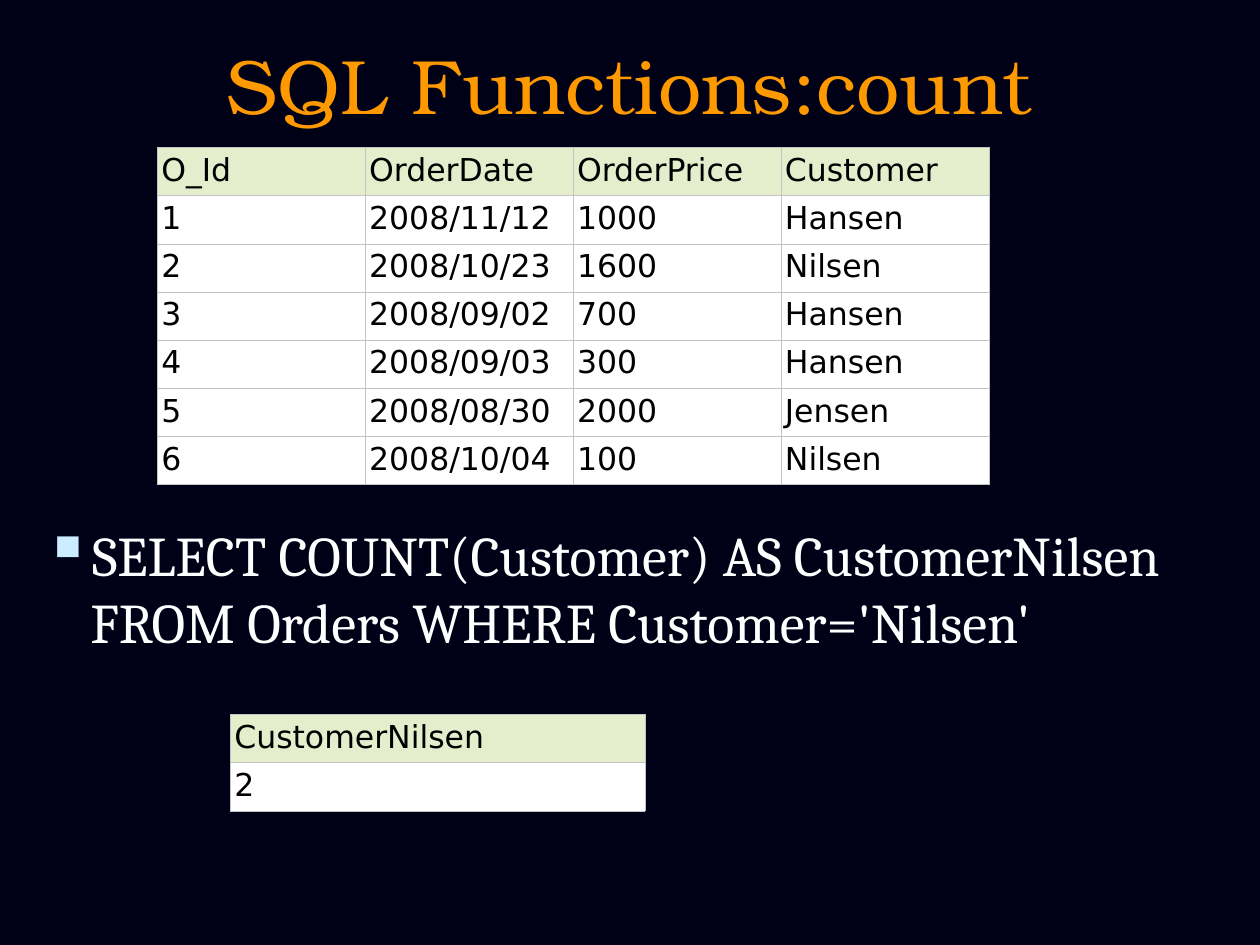
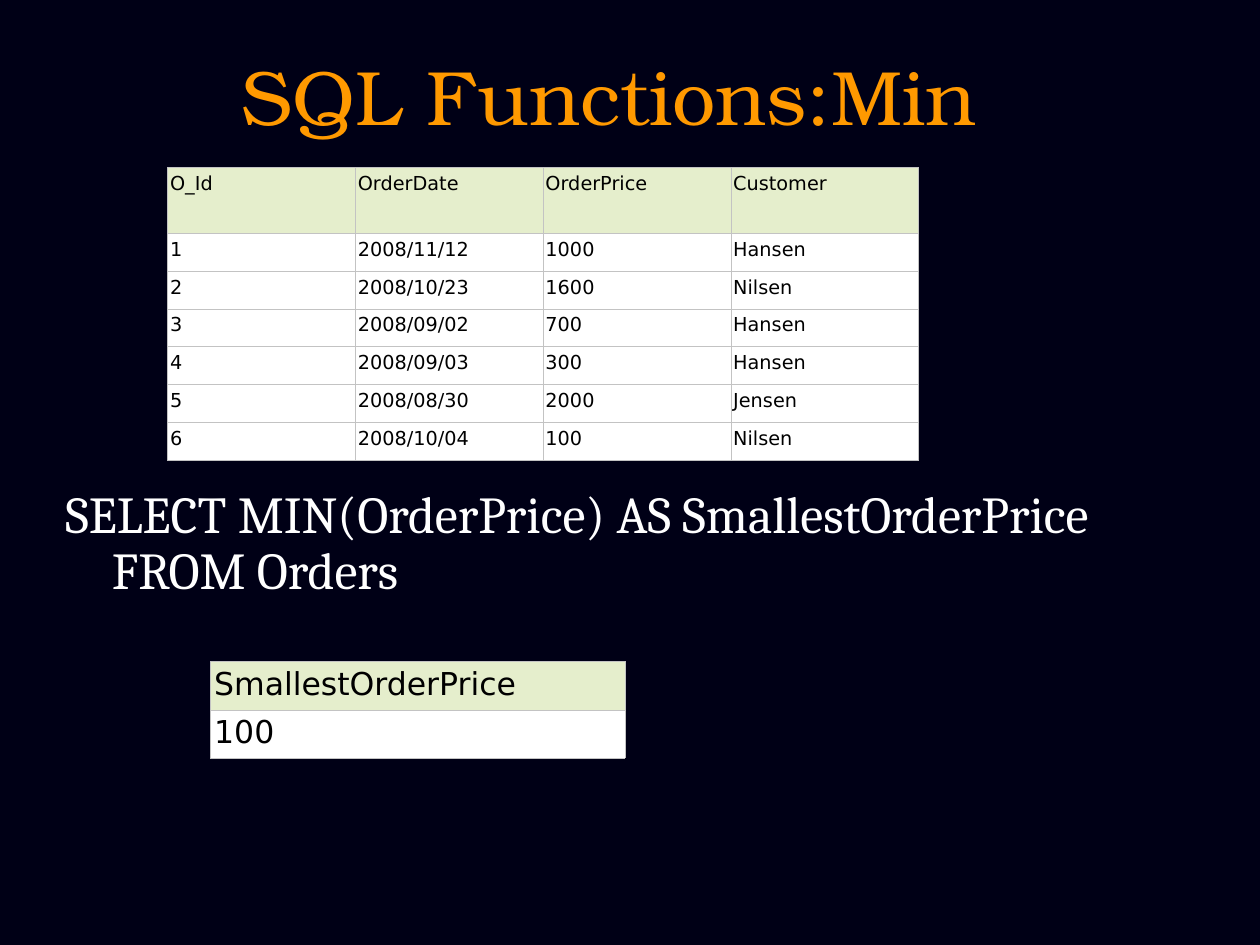
from dataclasses import dataclass

from lxml.etree import SubElement
from pptx import Presentation
from pptx.dml.color import RGBColor
from pptx.enum.text import MSO_ANCHOR, PP_ALIGN
from pptx.oxml.ns import qn
from pptx.util import Inches, Pt


@dataclass(frozen=True)
class Theme:
    background: str = "000016"
    title: str = "FF9900"
    body: str = "FFFFFF"
    bullet: str = "CCECFF"
    header_fill: str = "E5EECC"
    row_fill: str = "FFFFFF"
    cell_text: str = "000000"
    border: str = "C3C3C3"
    border_width: float = 0.17
    title_font: str = "TeX Gyre Bonum"
    body_font: str = "Cambria"
    table_font: str = "DejaVu Sans"
    title_size: float = 44
    table_size: float = 18
    cell_spacing: float = 0.94
    hanging: float = 0.37


THEME = Theme()

ORDERS = [
    ("O_Id", "OrderDate", "OrderPrice", "Customer"),
    ("1", "2008/11/12", "1000", "Hansen"),
    ("2", "2008/10/23", "1600", "Nilsen"),
    ("3", "2008/09/02", "700", "Hansen"),
    ("4", "2008/09/03", "300", "Hansen"),
    ("5", "2008/08/30", "2000", "Jensen"),
    ("6", "2008/10/04", "100", "Nilsen"),
]

SLIDES = [
    {
        "title": "SQL Functions:count",
        "title_area": (0.5, 0.25, 9, 0.83),
        "query": "SELECT COUNT(Customer) AS CustomerNilsen FROM Orders WHERE Customer='Nilsen'",
        "query_area": (0.25, 4.08, 9.5, 1.33),
        "query_format": {"size": 32, "bullet": "▪"},
        "orders": {"left": 1.25, "top": 1.17, "column_width": 1.65,
                   "header_height": 0.37, "row_height": 0.37},
        "result": [("CustomerNilsen",), ("2",)],
        "result_at": (1.83, 5.67),
    },
    {
        "title": "SQL Functions:Min",
        "title_area": (0.75, 0.25, 8.17, 1),
        "query": "SELECT MIN(OrderPrice) AS SmallestOrderPrice FROM Orders",
        "query_area": (0.42, 3.83, 8.92, 1.17),
        "query_format": {"size": 29.6, "spacing": 0.9},
        "orders": {"left": 1.33, "top": 1.33, "column_width": 1.49,
                   "header_height": 0.52, "row_height": 0.3,
                   "size": 11, "side_margin": 0.02},
        "result": [("SmallestOrderPrice",), ("100",)],
        "result_at": (1.67, 5.25),
    },
]


def write_text(frame, text, *, font, size, color, align=PP_ALIGN.LEFT,
               spacing=None, hanging=0, bullet=None):
    para = frame.paragraphs[0]
    para.alignment = align
    if spacing:
        para.line_spacing = spacing
    properties = para._p.get_or_add_pPr()
    if hanging:
        properties.set("marL", str(Inches(hanging)))
        properties.set("indent", str(-Inches(hanging)))
    if bullet:
        bullet_color = SubElement(properties, qn("a:buClr"))
        SubElement(bullet_color, qn("a:srgbClr"), val=THEME.bullet)
        SubElement(properties, qn("a:buSzPct"), val="115000")
        SubElement(properties, qn("a:buChar"), char=bullet)
    span = para.add_run()
    span.text = text
    span.font.name = font
    span.font.size = Pt(size)
    span.font.color.rgb = RGBColor.from_string(color)


def add_text_box(page, area, text, anchor=MSO_ANCHOR.TOP, **text_format):
    box = page.shapes.add_textbox(*map(Inches, area))
    frame = box.text_frame
    frame.word_wrap = True
    frame.vertical_anchor = anchor
    write_text(frame, text, **text_format)


def add_borders(cell):
    properties = cell._tc.get_or_add_tcPr()
    for position, side in enumerate(("lnL", "lnR", "lnT", "lnB")):
        line = SubElement(properties, qn(f"a:{side}"), w=str(Pt(THEME.border_width)))
        fill = SubElement(line, qn("a:solidFill"))
        SubElement(fill, qn("a:srgbClr"), val=THEME.border)
        properties.insert(position, line)


def add_data_table(page, rows, *, left, top, column_width, header_height,
                   row_height, size=THEME.table_size, side_margin=0.03):
    columns = len(rows[0])
    height = header_height + row_height * (len(rows) - 1)
    area = map(Inches, (left, top, column_width * columns, height))
    table = page.shapes.add_table(len(rows), columns, *area).table
    table.first_row = False
    table.horz_banding = False
    for column in table.columns:
        column.width = Inches(column_width)
    for row_index, values in enumerate(rows):
        is_header = row_index == 0
        table.rows[row_index].height = Inches(header_height if is_header else row_height)
        fill_color = THEME.header_fill if is_header else THEME.row_fill
        for column_index, value in enumerate(values):
            cell = table.cell(row_index, column_index)
            cell.margin_left = cell.margin_right = Inches(side_margin)
            cell.margin_top = cell.margin_bottom = Inches(0.05)
            cell.fill.solid()
            cell.fill.fore_color.rgb = RGBColor.from_string(fill_color)
            add_borders(cell)
            write_text(cell.text_frame, value, font=THEME.table_font, size=size,
                       color=THEME.cell_text, spacing=THEME.cell_spacing)


def add_function_page(deck, content):
    page = deck.slides.add_slide(deck.slide_layouts[6])
    page.background.fill.solid()
    page.background.fill.fore_color.rgb = RGBColor.from_string(THEME.background)
    add_text_box(page, content["title_area"], content["title"], MSO_ANCHOR.MIDDLE,
                 font=THEME.title_font, size=THEME.title_size,
                 color=THEME.title, align=PP_ALIGN.CENTER)
    add_text_box(page, content["query_area"], content["query"],
                 font=THEME.body_font, color=THEME.body,
                 hanging=THEME.hanging, **content["query_format"])
    add_data_table(page, ORDERS, **content["orders"])
    left, top = content["result_at"]
    add_data_table(page, content["result"], left=left, top=top, column_width=3.29,
                   header_height=0.37, row_height=0.37)


def main():
    deck = Presentation()
    deck.slide_width = Inches(10)
    deck.slide_height = Inches(7.5)
    for content in SLIDES:
        add_function_page(deck, content)
    deck.save("out.pptx")


if __name__ == "__main__":
    main()
